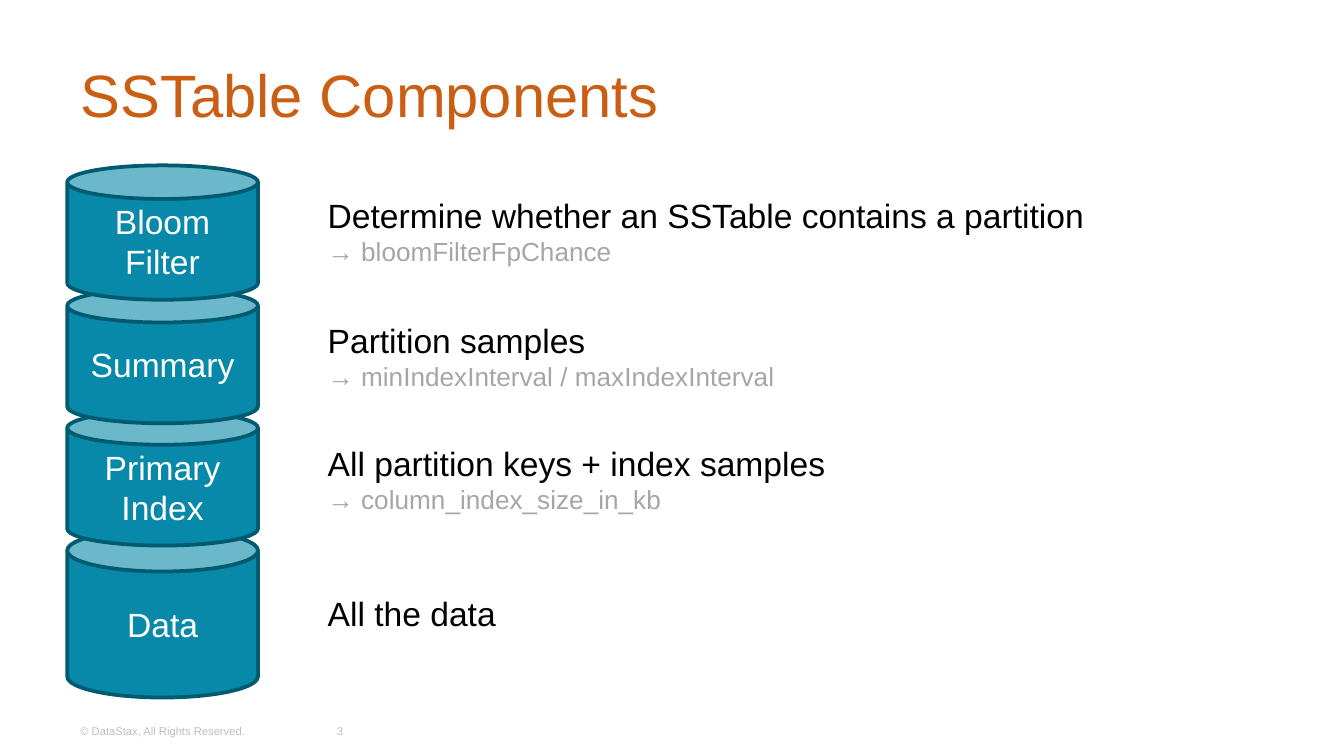
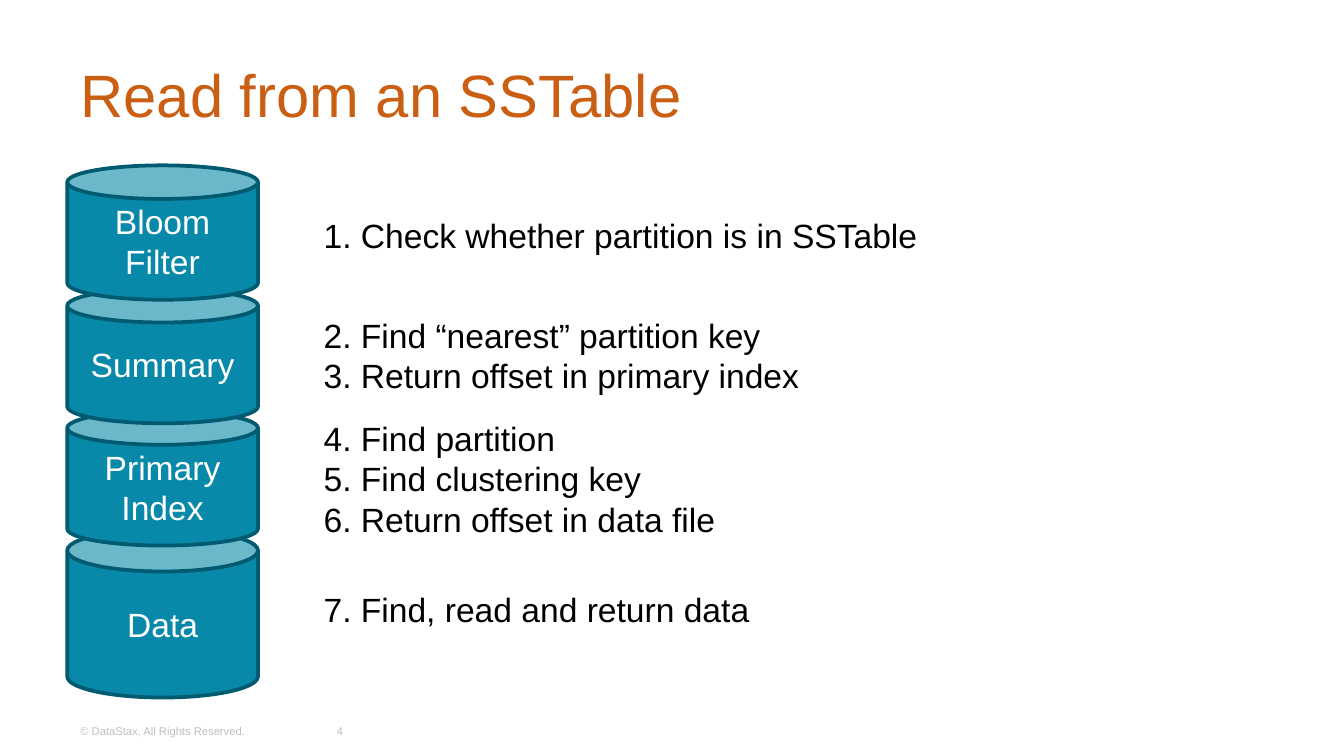
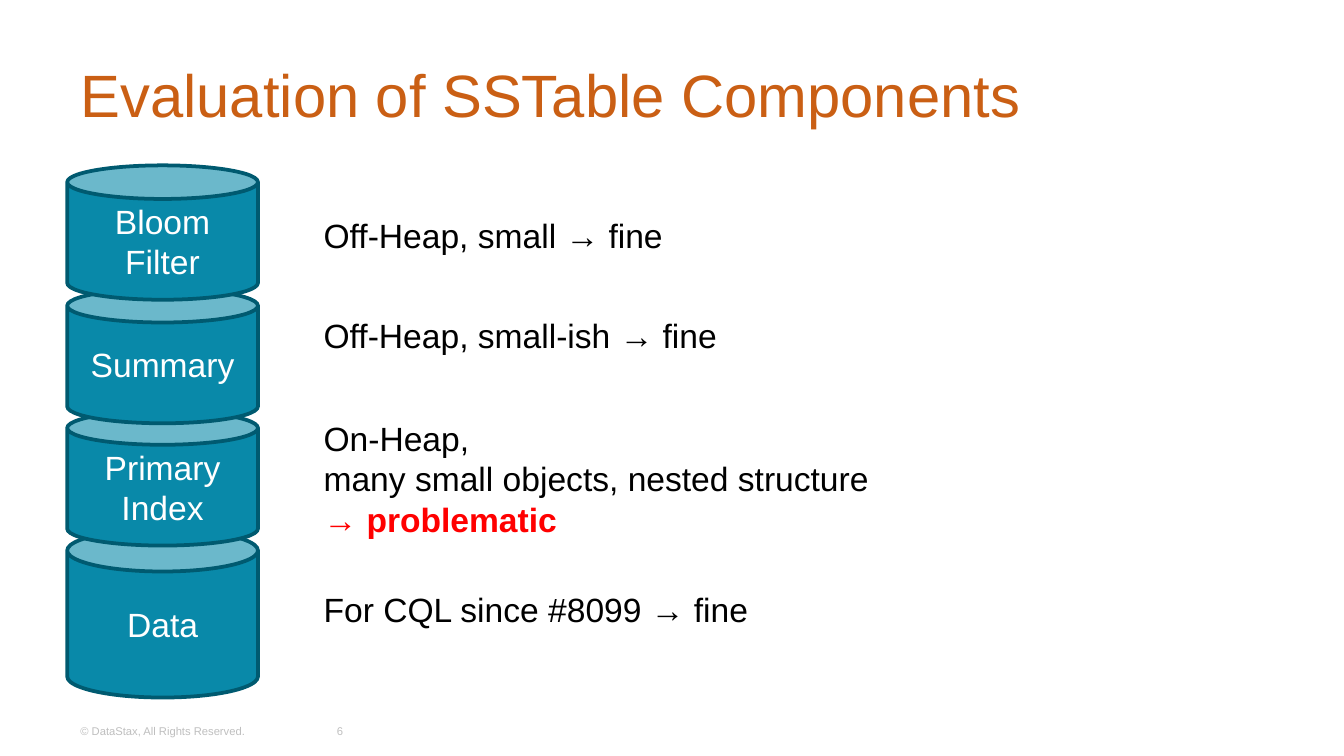
from pptx import Presentation
from pptx.dml.color import RGBColor
from pptx.enum.shapes import MSO_SHAPE
from pptx.enum.text import MSO_ANCHOR, MSO_AUTO_SIZE, PP_ALIGN
from pptx.util import Pt

COLORS = {
    "title": "CA5F14",
    "footer": "BFBFBF",
    "can": "0989A9",
    "can_line": "005A70",
    "label": "FFFFFF",
    "text": "000000",
    "option": "A6A6A6",
    "alert": "FF0000",
}

FORMATS = {
    "title": {"size": Pt(32)},
    "footer": {"size": Pt(6)},
    "label": {"size": Pt(18)},
    "text": {"size": Pt(18)},
    "option": {"size": Pt(14)},
    "alert": {"size": Pt(18), "bold": True},
}

COMPONENTS = [
    ("Data", 283.7, 90),
    ("Primary Index", 220.3, 72),
    ("Summary", 154.8, 72),
    ("Bloom Filter", 88.6, 72),
]

STEP_TOPS = [111.6, 164.9, 220.3, 311.8]

SLIDES = [
    {
        "title": "SSTable Components",
        "number": "3",
        "left": 168.5,
        "tops": [100.8, 167.8, 234, 313.9],
        "notes": [
            (423.4, 46, [[("Determine whether an SSTable contains a partition\n", "text"),
                          ("→ bloomFilterFpChance", "option")]]),
            (254.9, 46, [[("Partition samples\n", "text"),
                          ("→ minIndexInterval / maxIndexInterval", "option")]]),
            (284.4, 46, [[("All partition keys + index samples\n", "text"),
                          ("→ column_index_size_in_kb", "option")]]),
            (105.1, 29, [[("All the data", "text")]]),
        ],
    },
    {
        "title": "Read from an SSTable",
        "number": "4",
        "left": 166.3,
        "tops": STEP_TOPS,
        "notes": [
            (335.5, 29, [[("1. Check whether partition is in SSTable", "text")]]),
            (271.4, 51, [[("2. Find “nearest” partition key\n"
                           "3. Return offset in primary index", "text")]]),
            (226.1, 72.7, [[("4. Find partition", "text")],
                           [("5. Find clustering key\n"
                             "6. Return offset in data file", "text")]]),
            (244.8, 29, [[("7. Find, read and return data", "text")]]),
        ],
    },
    {
        "title": "Evaluation of SSTable Components",
        "number": "6",
        "left": 166.3,
        "tops": STEP_TOPS,
        "notes": [
            (197.3, 29, [[("Off-Heap, small → fine", "text")]]),
            (226.8, 29, [[("Off-Heap, small-ish → fine", "text")]]),
            (309.6, 72.7, [[("On-Heap,\nmany small objects, nested structure", "text")],
                           [("→ problematic", "alert")]]),
            (243.4, 29, [[("For CQL since #8099 → fine", "text")]]),
        ],
    },
]


class Deck:
    """Hold the shared style and the current slide."""

    def __init__(self):
        """Start an empty deck of 10 inch wide slides."""
        self.prs = Presentation()
        self.prs.slide_width, self.prs.slide_height = Pt(720), Pt(405)
        self.s = None

    def color(self, name):
        """Return a named colour."""
        return RGBColor.from_string(COLORS[name])

    def fill_text(self, sp, paragraphs, align=PP_ALIGN.LEFT, **frame):
        """Fill a shape with paragraphs of (text, style) runs."""
        tf = sp.text_frame
        for name, value in frame.items():
            setattr(tf, name, value)
        for i, runs in enumerate(paragraphs):
            p = tf.add_paragraph() if i else tf.paragraphs[0]
            p.alignment = align
            for text, style in runs:
                for j, line in enumerate(text.split("\n")):
                    if j:
                        p.add_line_break()
                    if line:
                        self.add_text(p, line, style)

    def add_text(self, p, text, style):
        """Add one styled run to a paragraph."""
        r = p.add_run()
        r.text = text
        for name, value in {"name": "Arial", **FORMATS[style]}.items():
            setattr(r.font, name, value)
        r.font.color.rgb = self.color(style)

    def slide(self, title, number):
        """Open a slide with its title and footer."""
        self.s = self.prs.slides.add_slide(self.prs.slide_layouts[5])
        sp = self.s.shapes.title
        box = {"left": 36, "top": 16.5, "width": 648, "height": 67.7}
        for name, value in box.items():
            setattr(sp, name, Pt(value))
        self.fill_text(sp, [[(title, "title")]], vertical_anchor=MSO_ANCHOR.MIDDLE)
        self.footer("© DataStax, All Rights Reserved.", 36, 125.3, PP_ALIGN.LEFT)
        self.footer(number, 166.3, 31.7, PP_ALIGN.CENTER)

    def footer(self, text, left, width, align):
        """Add one part of the footer line."""
        sp = self.s.shapes.add_textbox(Pt(left), Pt(381), Pt(width), Pt(21.6))
        self.fill_text(sp, [[(text, "footer")]], align,
                       word_wrap=True, vertical_anchor=MSO_ANCHOR.MIDDLE)

    def can(self, label, top, height):
        """Add one labelled storage cylinder."""
        sp = self.s.shapes.add_shape(MSO_SHAPE.CAN, Pt(36), Pt(top), Pt(102.2), Pt(height))
        sp.shadow.inherit = False
        sp.fill.solid()
        sp.fill.fore_color.rgb = self.color("can")
        sp.line.color.rgb = self.color("can_line")
        sp.line.width = Pt(2)
        self.fill_text(sp, [[(label, "label")]], PP_ALIGN.CENTER,
                       word_wrap=True, vertical_anchor=MSO_ANCHOR.MIDDLE)

    def note(self, left, top, width, height, paragraphs):
        """Add the text beside a cylinder."""
        sp = self.s.shapes.add_textbox(Pt(left), Pt(top), Pt(width), Pt(height))
        self.fill_text(sp, paragraphs, word_wrap=False,
                       auto_size=MSO_AUTO_SIZE.SHAPE_TO_FIT_TEXT)


def main():
    """Build and save the deck."""
    deck = Deck()
    for content in SLIDES:
        deck.slide(content["title"], content["number"])
        for component in COMPONENTS:
            deck.can(*component)
        for top, note in zip(content["tops"], content["notes"]):
            deck.note(content["left"], top, *note)
    deck.prs.save("out.pptx")


if __name__ == "__main__":
    main()
